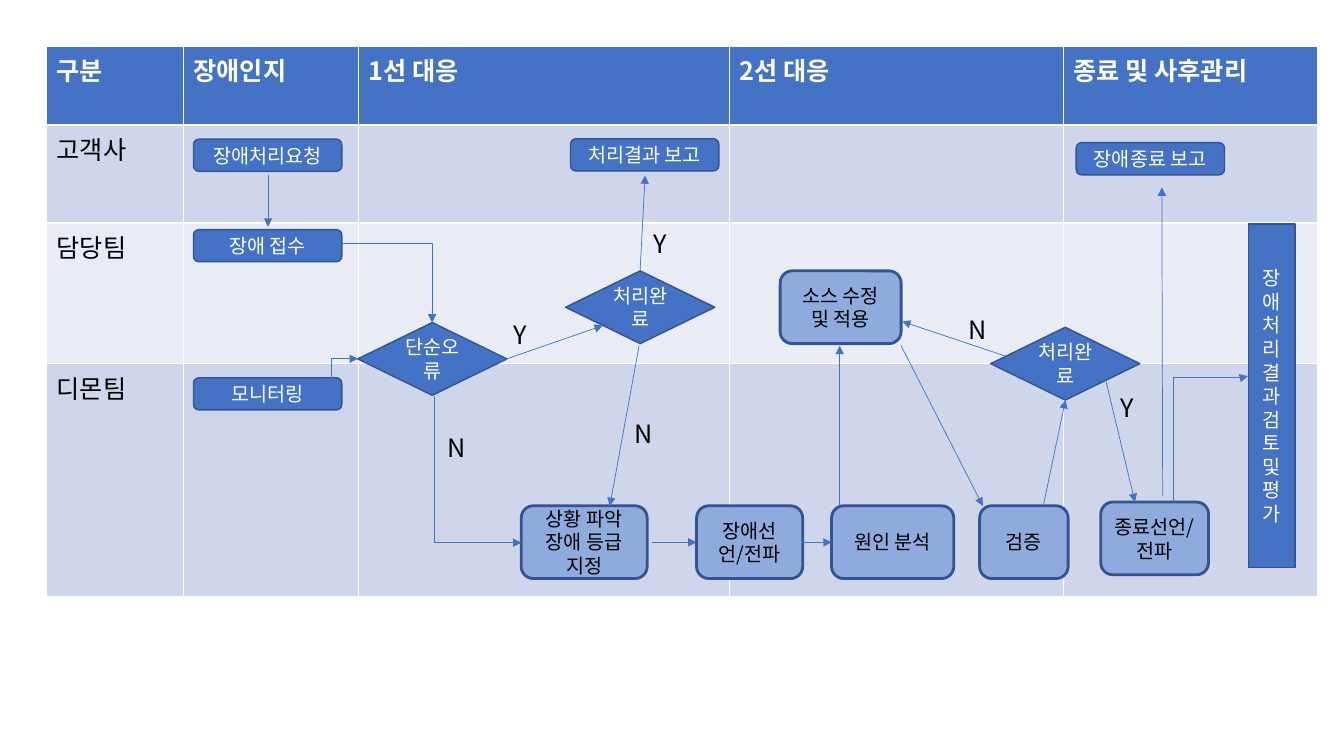
"""Build a swimlane slide of the incident handling process."""
from lxml import etree
from pptx import Presentation
from pptx.dml.color import RGBColor
from pptx.enum import shapes, text
from pptx.oxml import ns
from pptx.util import Pt

FONT = "Noto Sans CJK KR"
WHITE = RGBColor(0xFF, 0xFF, 0xFF)
BLACK = RGBColor(0, 0, 0)
BLUE = RGBColor(0x44, 0x72, 0xC4)
LIGHT_BLUE = RGBColor(0x8F, 0xAA, 0xDC)
OUTLINE = RGBColor(0x32, 0x54, 0x91)
LANES = (RGBColor(0xE9, 0xEB, 0xF5), RGBColor(0xCF, 0xD5, 0xEA))

PHASES = ["구분", "장애인지", "1선 대응", "2선 대응", "종료 및 사후관리"]
TEAMS = ["고객사", "담당팀", "디몬팀"]
TABLE_LEFT, TABLE_TOP = 33.3, 33.3
COLUMN_WIDTHS = [97.7, 125.1, 264.8, 238.8, 181.5]
ROW_HEIGHTS = [56, 70, 100.6, 166.5]

NOTICE_SIZE = (106, 23)
NOTICES = [
    ("장애처리요청", 138.2, 99.4),
    ("처리결과 보고", 407.5, 99.1),
    ("장애 접수", 138.2, 164),
    ("모니터링", 138.2, 269.8),
    ("장애종료 보고", 768.7, 101.9),
]
DECISION_SIZE = (106.6, 52)
DECISIONS = [
    ("단순오류", 255.5, 230.4),
    ("처리완료", 404, 193.5),
    ("처리완료", 707.6, 233.8),
]
STEP_HEIGHT = 52
STEPS = [
    ("상황 파악\n장애 등급 지정", 372.3, 361.3, 90),
    ("장애선언/전파", 497.6, 361.3, 75.8),
    ("원인 분석", 594, 361.3, 87.3),
    ("소스 수정 및 적용", 557.3, 193.5, 86.4),
    ("검증", 699.8, 361.3, 63.2),
    ("종료선언/ 전파", 786.3, 358.6, 77),
]
REVIEW = ("장애처리결과 검토및 평가", 891.8, 159.9, 33.2, 245.6)

ARROWS = [
    (191.5, 125.3, 191.5, 162),
    (357.8, 257.8, 430.6, 232.6),
    (457.2, 193.7, 460.8, 125.3),
    (456.5, 247, 435.6, 361.4),
    (465.8, 387.4, 497.5, 387.4),
    (573.1, 387.4, 594, 387.4),
    (599.8, 361.4, 599.8, 247),
    (643.7, 247, 702, 361.4),
    (745.2, 361.4, 761, 285.8),
    (717.8, 254.2, 644.4, 229.7),
    (789.8, 271.4, 810.7, 358.6),
    (830.5, 354.2, 829.9, 133.9),
]
ELBOWS = [
    ("bentConnector2", (244.4, 173.5, 64.3, 56.9), {}, None),
    ("bentConnector3", (218.2, 256.3, 37.4, 23.4), {"flipV": "1"}, 50000),
    ("bentConnector2", (288.7, 303.8, 105.1, 62.6),
     {"rot": "16200000", "flipH": "1"}, None),
    ("bentConnector3", (819.5, 287.2, 90.4, 53.4),
     {"rot": "5400000", "flipH": "1", "flipV": "1"}, 98700),
]
ANSWER_HEIGHT = 28.8
ANSWERS = [
    ("N", 312.5, 305.3, 28),
    ("Y", 360, 224.6, 24.5),
    ("Y", 459.4, 159.8, 24.5),
    ("N", 446.4, 295.2, 28),
    ("N", 684.7, 221, 23),
    ("Y", 793.4, 276.5, 24.5),
]


def points(*values):
    return [Pt(value) for value in values]


def write(frame, words, size, color, bold=False, align=None):
    frame.text = words
    for paragraph in frame.paragraphs:
        paragraph.alignment = align
        font = paragraph.font
        font.size, font.bold, font.name = Pt(size), bold, FONT
        font.color.rgb = color
        properties = paragraph._p.find(".//" + ns.qn("a:defRPr"))
        etree.SubElement(properties, ns.qn("a:ea"), typeface=FONT)


def add_lanes(slide):
    table = slide.shapes.add_table(
        len(ROW_HEIGHTS), len(COLUMN_WIDTHS),
        *points(TABLE_LEFT, TABLE_TOP, sum(COLUMN_WIDTHS), sum(ROW_HEIGHTS))).table
    for column, width in zip(table.columns, COLUMN_WIDTHS):
        column.width = Pt(width)
    for index, (row, height) in enumerate(zip(table.rows, ROW_HEIGHTS)):
        row.height = Pt(height)
        for cell in row.cells:
            cell.fill.solid()
            cell.fill.fore_color.rgb = LANES[index % 2] if index else BLUE
    for index, phase in enumerate(PHASES):
        write(table.cell(0, index).text_frame, phase, 18, WHITE, bold=True)
    for index, team in enumerate(TEAMS, 1):
        write(table.cell(index, 0).text_frame, team, 18, BLACK)


def add_box(slide, kind, words, box, fill=BLUE, color=WHITE, line_width=1):
    shape = slide.shapes.add_shape(kind, *points(*box))
    shape.shadow.inherit = False
    shape.fill.solid()
    shape.fill.fore_color.rgb = fill
    shape.line.color.rgb = OUTLINE
    shape.line.width = Pt(line_width)
    shape.text_frame.vertical_anchor = text.MSO_ANCHOR.MIDDLE
    write(shape.text_frame, words, 14, color, align=text.PP_ALIGN.CENTER)


def add_arrow(slide, kind, ends):
    connector = slide.shapes.add_connector(kind, *points(*ends))
    connector.line.color.rgb = BLUE
    connector.line.width = Pt(0.5)
    properties = connector._element.spPr
    etree.SubElement(properties.find(ns.qn("a:ln")), ns.qn("a:tailEnd"), type="triangle")
    etree.SubElement(properties, ns.qn("a:effectLst"))
    return properties


def add_elbow(slide, preset, box, turns, bend):
    left, top, width, height = box
    properties = add_arrow(slide, shapes.MSO_CONNECTOR.ELBOW,
                           (left, top, left + width, top + height))
    for name, value in turns.items():
        properties.find(ns.qn("a:xfrm")).set(name, value)
    geometry = properties.find(ns.qn("a:prstGeom"))
    geometry.set("prst", preset)
    if bend is not None:
        etree.SubElement(geometry.find(ns.qn("a:avLst")), ns.qn("a:gd"),
                         name="adj1", fmla=f"val {bend}")


def main():
    presentation = Presentation()
    presentation.slide_width, presentation.slide_height = points(960, 540)
    slide = presentation.slides.add_slide(presentation.slide_layouts[6])
    kinds = shapes.MSO_SHAPE
    add_lanes(slide)
    for words, left, top in NOTICES:
        add_box(slide, kinds.ROUNDED_RECTANGLE, words, (left, top, *NOTICE_SIZE))
    for words, left, top in DECISIONS:
        add_box(slide, kinds.FLOWCHART_DECISION, words, (left, top, *DECISION_SIZE))
    for words, left, top, width in STEPS:
        add_box(slide, kinds.FLOWCHART_ALTERNATE_PROCESS, words,
                (left, top, width, STEP_HEIGHT), LIGHT_BLUE, BLACK, 2)
    add_box(slide, kinds.FLOWCHART_PROCESS, REVIEW[0], REVIEW[1:])
    for ends in ARROWS:
        add_arrow(slide, shapes.MSO_CONNECTOR.STRAIGHT, ends)
    for elbow in ELBOWS:
        add_elbow(slide, *elbow)
    for words, left, top, width in ANSWERS:
        label = slide.shapes.add_textbox(*points(left, top, width, ANSWER_HEIGHT))
        write(label.text_frame, words, 18, BLACK)
    presentation.save("out.pptx")


if __name__ == "__main__":
    main()
